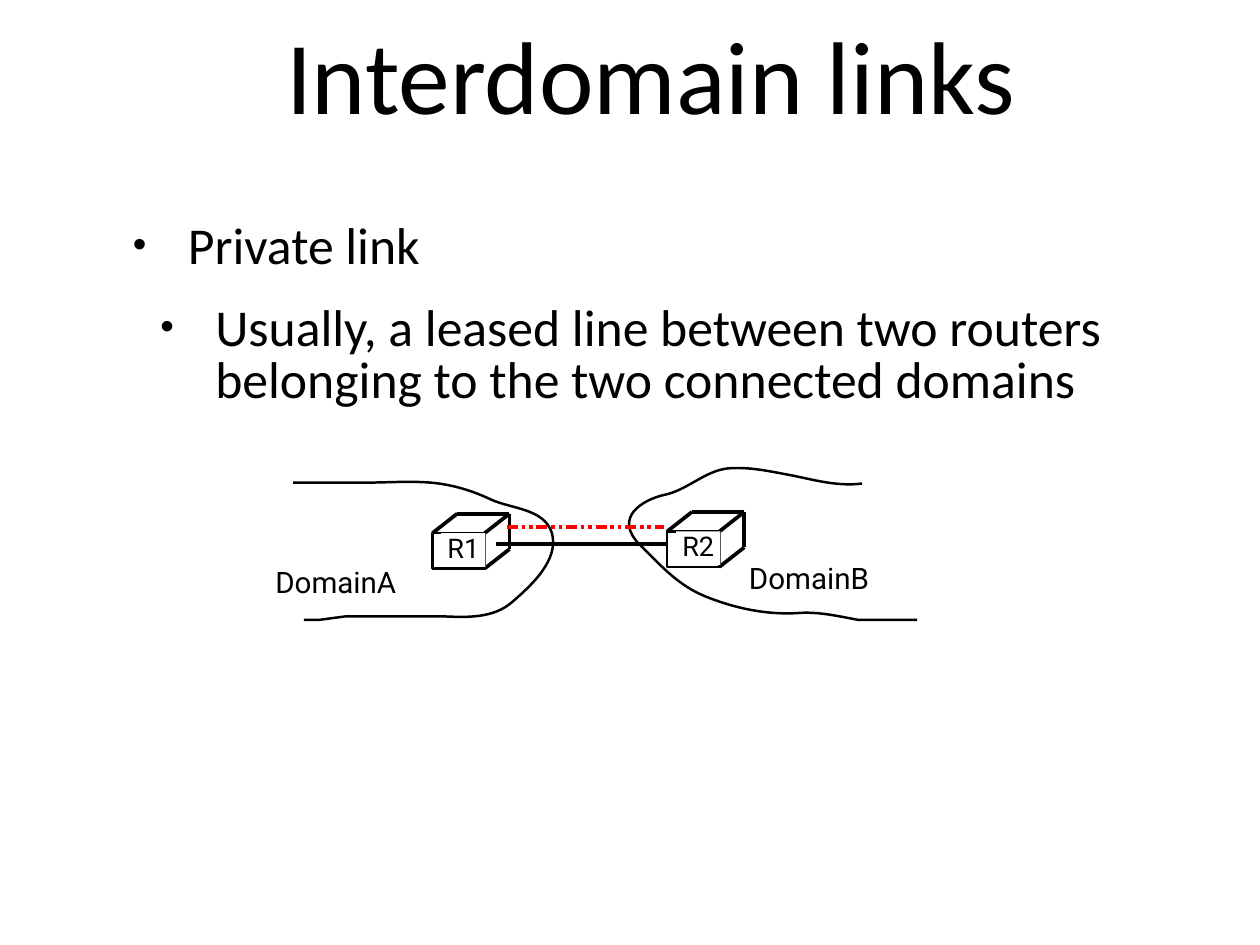
from dataclasses import dataclass

from lxml.etree import SubElement
from pptx import Presentation
from pptx.dml.color import RGBColor as RGB
from pptx.enum.shapes import MSO_CONNECTOR as CONNECTOR, MSO_SHAPE as SHAPE
from pptx.enum.text import MSO_ANCHOR as ANCHOR, MSO_AUTO_SIZE as AUTO_SIZE, PP_ALIGN as ALIGN
from pptx.oxml.ns import qn
from pptx.util import Pt

PX = 9144


@dataclass(frozen=True)
class Theme:
    ink: RGB = RGB(0, 0, 0)
    paper: RGB = RGB(255, 255, 255)
    session: RGB = RGB(255, 0, 0)
    text_font: str = "Calibri"
    label_font: str = "Roboto"
    title_size: int = 84
    body_size: int = 42
    domain_size: int = 24
    router_size: int = 22
    thin: int = 2
    thick: int = 3
    line_spacing: float = 0.84
    body_gap: int = 24


THEME = Theme()


def emu(*lengths):
    return [length * PX for length in lengths]


def place(shape, box):
    shape.left, shape.top, shape.width, shape.height = emu(*box)


def prepare_frame(frame, margin, anchor, wrap=True):
    frame.auto_size = AUTO_SIZE.NONE
    frame.word_wrap = wrap
    frame.vertical_anchor = anchor
    frame.margin_left = frame.margin_right = margin * PX
    frame.margin_top = frame.margin_bottom = margin * PX


def write(paragraph, text, font_name, size, align):
    paragraph.alignment = align
    paragraph.line_spacing = THEME.line_spacing
    run = paragraph.add_run()
    run.text = text
    run.font.name = font_name
    run.font.size = Pt(size)
    run.font.color.rgb = THEME.ink


def add_bullet(paragraph, indent, hanging):
    properties = paragraph._p.get_or_add_pPr()
    properties.set("marL", str(indent * PX))
    properties.set("indent", str(-hanging * PX))
    color = SubElement(properties, qn("a:buClr"))
    SubElement(color, qn("a:srgbClr"), val=str(THEME.ink))
    SubElement(properties, qn("a:buSzPct"), val="75000")
    SubElement(properties, qn("a:buChar"), char="•")


def add_title(slide, box, text):
    title = slide.shapes.title
    place(title, box)
    prepare_frame(title.text_frame, 6, ANCHOR.MIDDLE)
    write(title.text_frame.paragraphs[0], text, THEME.text_font, THEME.title_size, ALIGN.CENTER)


def add_body(slide, box, items):
    body = slide.placeholders[1]
    place(body, box)
    frame = body.text_frame
    prepare_frame(frame, 6, ANCHOR.TOP)
    for level, text in enumerate(items):
        paragraph = frame.add_paragraph() if level else frame.paragraphs[0]
        paragraph.level = level
        add_bullet(paragraph, 102 + 31 * level, 62)
        paragraph.space_before = Pt(THEME.body_gap if level else 0)
        write(paragraph, text, THEME.text_font, THEME.body_size, ALIGN.LEFT)


def add_line(shapes, origin, start, end, color=THEME.ink, dash=None):
    left, top = origin
    ends = emu(left + start[0], top + start[1], left + end[0], top + end[1])
    line = shapes.add_connector(CONNECTOR.STRAIGHT, *ends)
    line.line.color.rgb = color
    line.line.width = Pt(THEME.thick)
    properties = line._element.spPr
    if dash:
        SubElement(properties.find(qn("a:ln")), qn("a:prstDash"), val=dash)
    SubElement(properties, qn("a:effectLst"))


def add_rectangle(shapes, box):
    rectangle = shapes.add_shape(SHAPE.RECTANGLE, *emu(*box))
    rectangle.shadow.inherit = False
    rectangle.fill.solid()
    rectangle.fill.fore_color.rgb = THEME.paper
    return rectangle


def add_router(slide, origin, name):
    left, top = origin
    shapes = slide.shapes.add_group_shape().shapes
    width, height, shift, rise = 59, 40, 28, 22
    front = add_rectangle(shapes, (left, top + rise, width, height))
    front.line.color.rgb = THEME.ink
    front.line.width = Pt(THEME.thin)
    back_left, back_right, back_low = (shift, 0), (width + shift, 0), (width + shift, height)
    edges = [
        ((0, rise), back_left),
        ((width, rise), back_right),
        ((width, rise + height), back_low),
        (back_left, back_right),
        (back_right, back_low),
    ]
    for start, end in edges:
        add_line(shapes, origin, start, end)
    label = add_rectangle(shapes, (left + 10, top + rise, 50, 38))
    label.line.fill.background()
    prepare_frame(label.text_frame, 0, ANCHOR.MIDDLE, wrap=False)
    write(label.text_frame.paragraphs[0], name, THEME.label_font, THEME.router_size, ALIGN.CENTER)


def add_border(slide, origin, start, curves, straights):
    left, top = origin
    points = [(left + x, top + y) for x, y in [*curves, *straights]]
    builder = slide.shapes.build_freeform(left + start[0], top + start[1], scale=PX)
    builder.add_line_segments(points, close=False)
    border = builder.convert_to_shape()
    border.shadow.inherit = False
    border.fill.background()
    border.line.color.rgb = THEME.ink
    border.line.width = Pt(THEME.thin)
    segments = list(border._element.iter(qn("a:lnTo")))[:len(curves)]
    for first, second, third in zip(*[iter(segments)] * 3):
        first.tag = qn("a:cubicBezTo")
        for segment in (second, third):
            first.append(segment[0])
            segment.getparent().remove(segment)


def add_domain_label(slide, origin, name):
    label = slide.shapes.add_textbox(*emu(*origin, 138, 40))
    prepare_frame(label.text_frame, 0, ANCHOR.MIDDLE, wrap=False)
    write(label.text_frame.paragraphs[0], name, THEME.label_font, THEME.domain_size, ALIGN.CENTER)


def add_link_diagram(slide, origin):
    left, top = origin

    def at(x, y):
        return left + x, top + y

    add_router(slide, at(178, 52), "R1")
    add_router(slide, at(443, 50), "R2")
    add_border(
        slide, origin, (21, 17),
        [(48, 17), (75, 17), (103, 17), (127, 17), (152, 15), (176, 17),
         (200, 19), (223, 26), (244, 36), (268, 47), (304, 46), (313, 74),
         (321, 104), (291, 132), (269, 151), (247, 171), (216, 169), (190, 168),
         (163, 168), (137, 168), (110, 168)],
        [(80, 168), (50, 172), (33, 172)],
    )
    add_border(
        slide, origin, (663, 18),
        [(632, 22), (603, 12), (574, 7), (553, 3), (532, -1), (511, 1),
         (485, 4), (465, 26), (439, 31), (417, 36), (380, 56), (413, 88),
         (437, 112), (456, 133), (485, 145), (519, 159), (557, 167), (594, 164),
         (616, 163), (637, 168), (659, 172)],
        [(725, 172)],
    )
    add_line(slide.shapes, origin, (250, 86), (443, 86))
    add_domain_label(slide, at(0, 112), "DomainA")
    add_domain_label(slide, at(534, 108), "DomainB")
    add_line(slide.shapes, origin, (262, 67), (439, 67), THEME.session, "sysDashDotDot")


def main():
    presentation = Presentation()
    presentation.slide_width, presentation.slide_height = emu(1422, 1067)
    slide = presentation.slides.add_slide(presentation.slide_layouts[1])
    add_title(slide, (138, 0, 1193, 188), "Interdomain links")
    add_body(slide, (104, 246, 1262, 240), [
        "Private link",
        "Usually, a leased line between two routers belonging to the two connected domains",
    ])
    add_link_diagram(slide, (310, 528))
    presentation.save("out.pptx")


if __name__ == "__main__":
    main()
